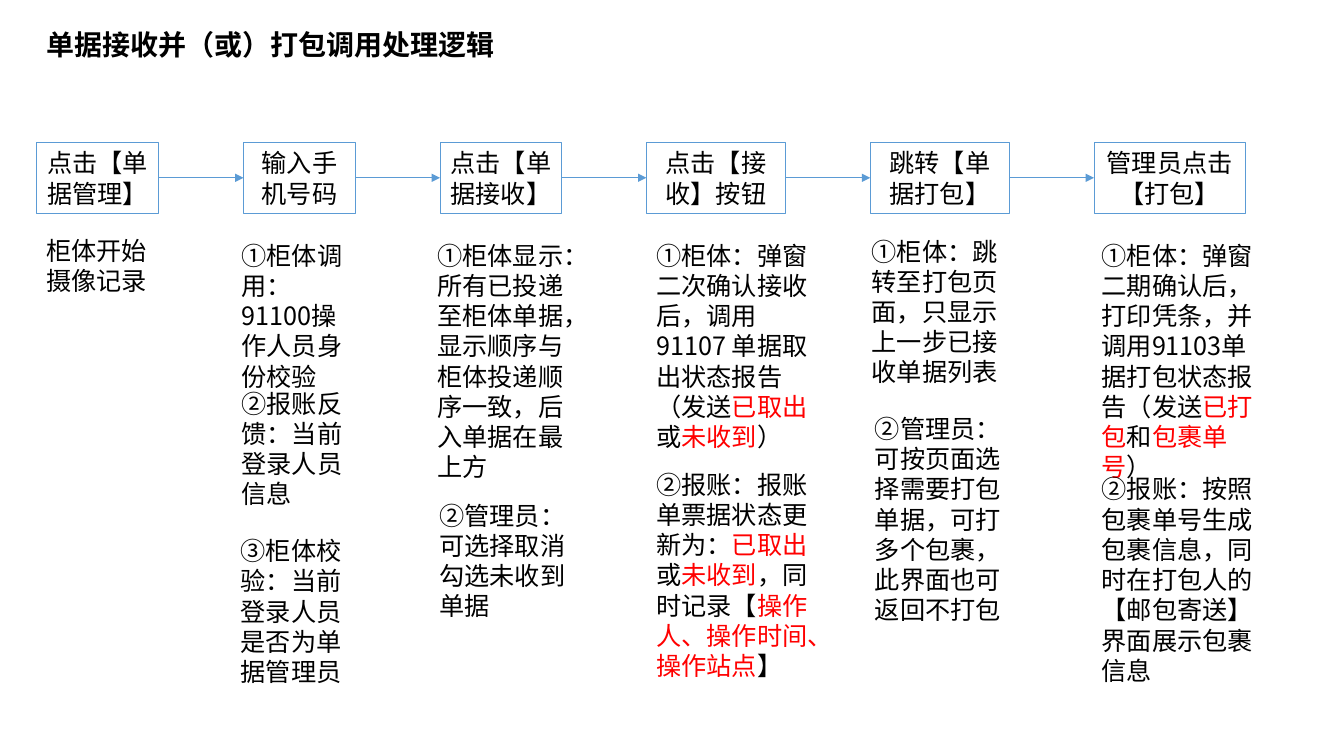
import pptx
import pptx.util
import pptx.dml.color
import pptx.enum.shapes
import pptx.enum.text
import pptx.oxml
import pptx.oxml.ns
from pptx.util import Pt

FONT = "Noto Sans CJK SC"
BLACK, RED, BLUE = "000000", "FF0000", "5B9BD5"
STEP_GAP = 60.4
STEP_HEIGHT = 51

STEPS = [
    (87.5, "点击【单据管理】", [(0, 62.7, 98.6, 51, "柜体开始摄像记录")]),
    (80, "输入手机号码", [
        (-8.4, 66.3, 98.6, 94.3, "①柜体调用：91100操作人员身份校验"),
        (-8.4, 172.1, 98.6, 94.3, "②报账反馈：当前登录人员信息"),
        (-9, 277.5, 98.6, 116.6, "③柜体校验：当前登录人员是否为单据管理员"),
    ]),
    (87, "点击【单据接收】", [
        (-9, 66.3, 110.9, 181.4,
         "①柜体显示：所有已投递至柜体单据，显示顺序与柜体投递顺序一致，后入单据在最上方"),
        (-7.6, 252, 110.9, 94.3, "②管理员：可选择取消勾选未收到单据"),
    ]),
    (99.5, "点击【接收】按钮", [
        (0, 66.3, 129.6, 181.4,
         "①柜体：弹窗二次确认接收后，调用91107 单据取出状态报告（发送|已取出|或|未收到|）"),
        (0, 229.9, 129.6, 159.8,
         "②报账：报账单票据状态更新为：|已取出|或|未收到|，同时记录【|操作人、操作时间、操作站点|】"),
    ]),
    (99.5, "跳转【单据打包】", [
        (-6, 63.4, 106.6, 116.6, "①柜体：跳转至打包页面，只显示上一步已接收单据列表"),
        (-3.8, 190.1, 106.6, 159.8,
         "②管理员：可按页面选择需要打包单据，可打多个包裹，此界面也可返回不打包"),
    ]),
    (108, "管理员点击【打包】", [
        (-1.7, 66.3, 126.7, 159.8,
         "①柜体：弹窗二期确认后，打印凭条，并调用91103单据打包状态报告（发送|已打包|和|包裹单号|）"),
        (-1.7, 233.3, 126.7, 159.8,
         "②报账：按照包裹单号生成包裹信息，同时在打包人的【邮包寄送】界面展示包裹信息"),
    ]),
]


def rgb(code):
    """Turn a hex string into a colour."""
    return pptx.dml.color.RGBColor.from_string(code)


def write(holder, marked, size=18, bold=False, align="LEFT"):
    """Write text whose alternate parts between bars are red."""
    frame = holder.text_frame
    frame.word_wrap = True
    frame.auto_size = pptx.enum.text.MSO_AUTO_SIZE.SHAPE_TO_FIT_TEXT
    paragraph = frame.paragraphs[0]
    paragraph.alignment = getattr(pptx.enum.text.PP_ALIGN, align)
    for index, part in enumerate(marked.split("|")):
        run = paragraph.add_run()
        run.text = part
        run.font.size = Pt(size)
        run.font.bold = bold
        run.font.name = FONT
        run.font.color.rgb = rgb(RED if index % 2 else BLACK)
        east_asian = pptx.oxml.parse_xml(
            f'<a:ea {pptx.oxml.ns.nsdecls("a")} typeface="{FONT}"/>')
        run.font._element.find(pptx.oxml.ns.qn("a:latin")).addnext(east_asian)


def add_text(slide, left, top, width, height, marked, **style):
    """Place one block of free text."""
    block = slide.shapes.add_textbox(Pt(left), Pt(top), Pt(width), Pt(height))
    write(block, marked, **style)


def add_step(slide, left, top, width, label, notes):
    """Place a step box and the notes below it."""
    step = slide.shapes.add_shape(
        pptx.enum.shapes.MSO_SHAPE.RECTANGLE,
        Pt(left), Pt(top), Pt(width), Pt(STEP_HEIGHT))
    step.shadow.inherit = False
    step.fill.background()
    step.line.color.rgb = rgb(BLUE)
    step.line.width = Pt(0.75)
    step.text_frame.vertical_anchor = pptx.enum.text.MSO_ANCHOR.MIDDLE
    write(step, label, align="CENTER")
    for shift, drop, note_width, note_height, marked in notes:
        add_text(slide, left + shift, top + drop, note_width, note_height, marked)


def add_arrow(slide, start, end, level):
    """Draw a level arrow between two steps."""
    arrow = slide.shapes.add_connector(
        pptx.enum.shapes.MSO_CONNECTOR.STRAIGHT,
        Pt(start), Pt(level), Pt(end), Pt(level))
    arrow.line.color.rgb = rgb(BLUE)
    arrow.line.width = Pt(0.5)
    namespace = pptx.oxml.ns.nsdecls("a")
    arrow.line._get_or_add_ln().append(
        pptx.oxml.parse_xml(f'<a:tailEnd {namespace} type="triangle"/>'))
    arrow._element.spPr.append(pptx.oxml.parse_xml(f"<a:effectLst {namespace}/>"))


def add_flow(slide, left, top, steps):
    """Lay the steps out from left to right, joined by arrows."""
    for index, (width, label, notes) in enumerate(steps):
        if index:
            add_arrow(slide, left - STEP_GAP, left, top + STEP_HEIGHT / 2)
        add_step(slide, left, top, width, label, notes)
        left += width + STEP_GAP


def main():
    """Build the slide and save it."""
    deck = pptx.Presentation()
    deck.slide_width, deck.slide_height = Pt(960), Pt(540)
    slide = deck.slides.add_slide(deck.slide_layouts[6])
    add_text(slide, 26, 16, 345.6, 31.5, "单据接收并（或）打包调用处理逻辑", size=20, bold=True)
    add_flow(slide, 26, 101.5, STEPS)
    deck.save("out.pptx")


main()
